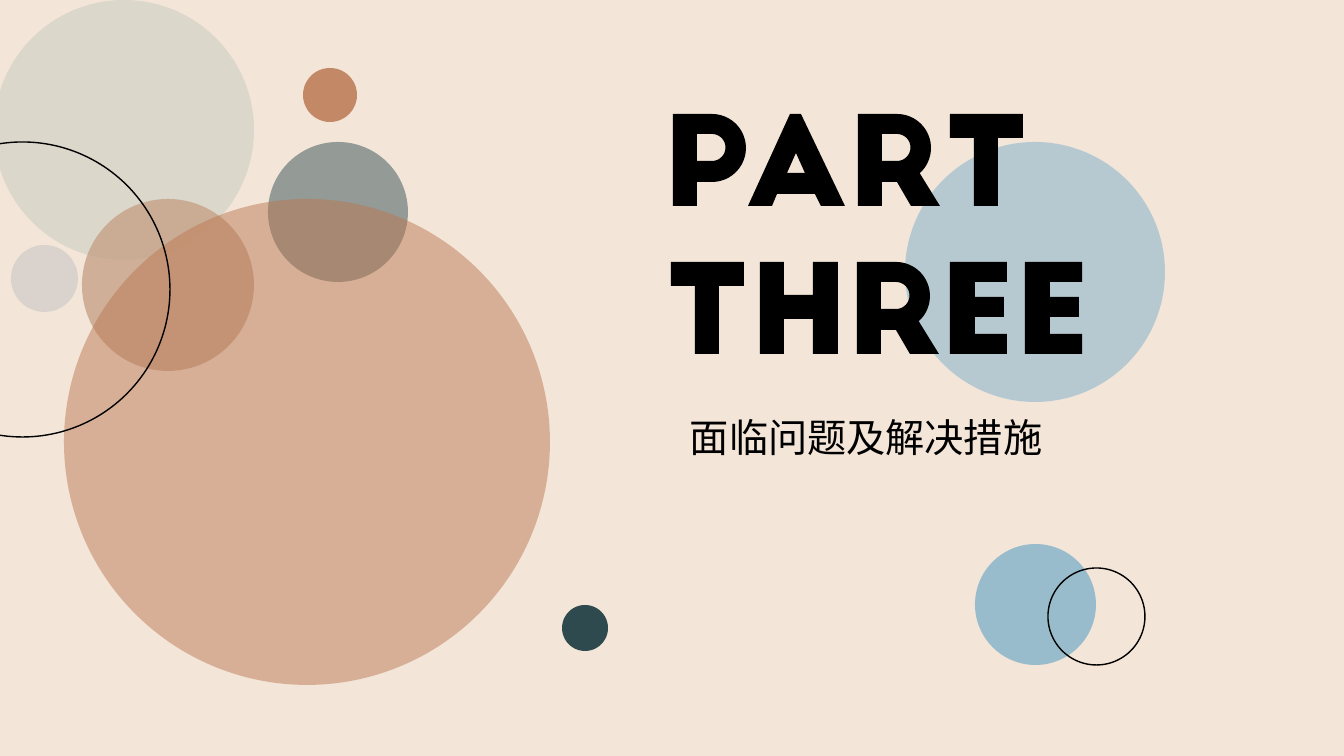
import math
from dataclasses import dataclass

import lxml.etree
import pptx
import pptx.dml.color
import pptx.enum.shapes
import pptx.enum.text
import pptx.oxml.ns
import pptx.util

EMU_PER_PX = 914400 / 100.8
SLIDE_WIDTH, SLIDE_HEIGHT = 1344, 756


@dataclass(frozen=True)
class Theme:
    background: str = "F3E5D8"
    ink: str = "000000"
    sky: str = "8BB6CB"
    sand: str = "D9D5CA"
    teal: str = "2E4A4E"
    tan: str = "C5A086"
    rust: str = "BA764F"
    grey: str = "BFBFBF"
    font: str = "Noto Sans CJK SC"
    subtitle_size: int = 28
    ring_width: int = 1


THEME = Theme()


def px(length):
    return pptx.util.Emu(round(length * EMU_PER_PX))


def rgb(color):
    return pptx.dml.color.RGBColor.from_string(color)


# Circles: a colour gives a disc, no colour gives an outlined ring
def add_circle(slide, box, left, top, diameter, color=None, opacity=100):
    shape = slide.shapes.add_shape(
        pptx.enum.shapes.MSO_SHAPE.OVAL,
        px(box[0] + left), px(box[1] + top), px(diameter), px(diameter))
    shape.shadow.inherit = False
    if color is None:
        shape.fill.background()
        shape.line.color.rgb = rgb(THEME.ink)
        shape.line.width = pptx.util.Pt(THEME.ring_width)
        return
    shape.fill.solid()
    shape.fill.fore_color.rgb = rgb(color)
    shape.line.fill.background()
    if opacity < 100:
        color_element = shape.fill._xPr.find(".//" + pptx.oxml.ns.qn("a:srgbClr"))
        alpha = lxml.etree.SubElement(color_element, pptx.oxml.ns.qn("a:alpha"))
        alpha.set("val", str(opacity * 1000))


# Block letters, 92 px tall: each is a list of closed contours
def arc(center_x, center_y, radius, end_degrees, steps=24):
    angles = [math.radians(-90 + (end_degrees + 90) * step / steps)
              for step in range(steps + 1)]
    return [(center_x + radius * math.cos(angle), center_y + radius * math.sin(angle))
            for angle in angles]


BOWL_HOLE = [(24, 20), *arc(39, 33.5, 13.5, 90), (24, 47)]
STEM_FOOT = [(24, 68), (24, 92), (0, 92)]
LETTERS = {
    "P": [[(0, 0), *arc(39, 34, 34, 90), *STEM_FOOT], BOWL_HOLE],
    "R": [[(0, 0), *arc(39, 34, 34, 48), (82, 92), (53, 92), (39, 68), *STEM_FOOT],
          BOWL_HOLE],
    "A": [[(42, 0), (53, 0), (97, 92), (73, 92), (67, 80), (29, 80), (24, 92), (0, 92)],
          [(48, 39), (39, 59), (57, 59)]],
    "T": [[(0, 0), (73, 0), (73, 24), (48, 24), (48, 92), (24, 92), (24, 24), (0, 24)]],
    "H": [[(0, 0), (24, 0), (24, 33), (53, 33), (53, 0), (78, 0),
           (78, 92), (53, 92), (53, 57), (24, 57), (24, 92), (0, 92)]],
    "E": [[(0, 0), (57, 0), (57, 20), (25, 20), (25, 35), (54, 35),
           (54, 55), (25, 55), (25, 72), (57, 72), (57, 92), (0, 92)]],
}
# Each line: top, then its letters with their left edges
TITLE_LINES = [
    (114, [("P", 3), ("A", 78), ("R", 188), ("T", 280)]),
    (262, [("T", 1), ("H", 90), ("R", 187), ("E", 280), ("E", 355)]),
]


def add_title(slide, box):
    contours = [
        [(px(box[0] + left + x), px(box[1] + top + y)) for x, y in contour]
        for top, letters in TITLE_LINES
        for letter, left in letters
        for contour in LETTERS[letter]
    ]
    builder = slide.shapes.build_freeform(*contours[0][0])
    for index, contour in enumerate(contours):
        if index:
            builder.move_to(*contour[0])
        builder.add_line_segments(contour[1:], close=True)
    shape = builder.convert_to_shape()
    shape.shadow.inherit = False
    shape.fill.solid()
    shape.fill.fore_color.rgb = rgb(THEME.ink)
    shape.line.fill.background()


def add_subtitle(slide, box, text):
    text_box = slide.shapes.add_textbox(px(box[0] + 10), px(box[1] + 408), px(373), px(57))
    frame = text_box.text_frame
    frame.word_wrap = False
    frame.auto_size = pptx.enum.text.MSO_AUTO_SIZE.SHAPE_TO_FIT_TEXT
    run = frame.paragraphs[0].add_run()
    run.text = text
    run.font.size = pptx.util.Pt(THEME.subtitle_size)
    run.font.name = THEME.font
    run.font.color.rgb = rgb(THEME.ink)
    east_asian = lxml.etree.SubElement(run.font._element, pptx.oxml.ns.qn("a:ea"))
    east_asian.set("typeface", THEME.font)


# Left region: overlapping bubbles
def add_bubbles(slide, box):
    for bubble in [
        (-6, 0, 260, THEME.sand, 87),
        (268, 142, 140, THEME.teal, 48),
        (82, 199, 172, THEME.tan, 77),
        (303, 68, 54, THEME.rust, 83),
        (64, 199, 486, THEME.rust, 48),
        (11, 245, 67, THEME.grey, 48),
        (562, 605, 46, THEME.teal),
        (-125, 142, 295),
    ]:
        add_circle(slide, box, *bubble)


# Right region: title, subtitle and blue accents
def add_heading(slide, box):
    add_circle(slide, box, 235, 142, 260, THEME.sky, 58)
    add_title(slide, box)
    add_subtitle(slide, box, "面临问题及解决措施")
    add_circle(slide, box, 305, 544, 121, THEME.sky, 87)
    add_circle(slide, box, 378, 568, 97)


def main():
    presentation = pptx.Presentation()
    presentation.slide_width = px(SLIDE_WIDTH)
    presentation.slide_height = px(SLIDE_HEIGHT)
    slide = presentation.slides.add_slide(presentation.slide_layouts[6])
    slide.background.fill.solid()
    slide.background.fill.fore_color.rgb = rgb(THEME.background)
    add_bubbles(slide, (0, 0))
    add_heading(slide, (670, 0))
    presentation.save("out.pptx")


if __name__ == "__main__":
    main()
